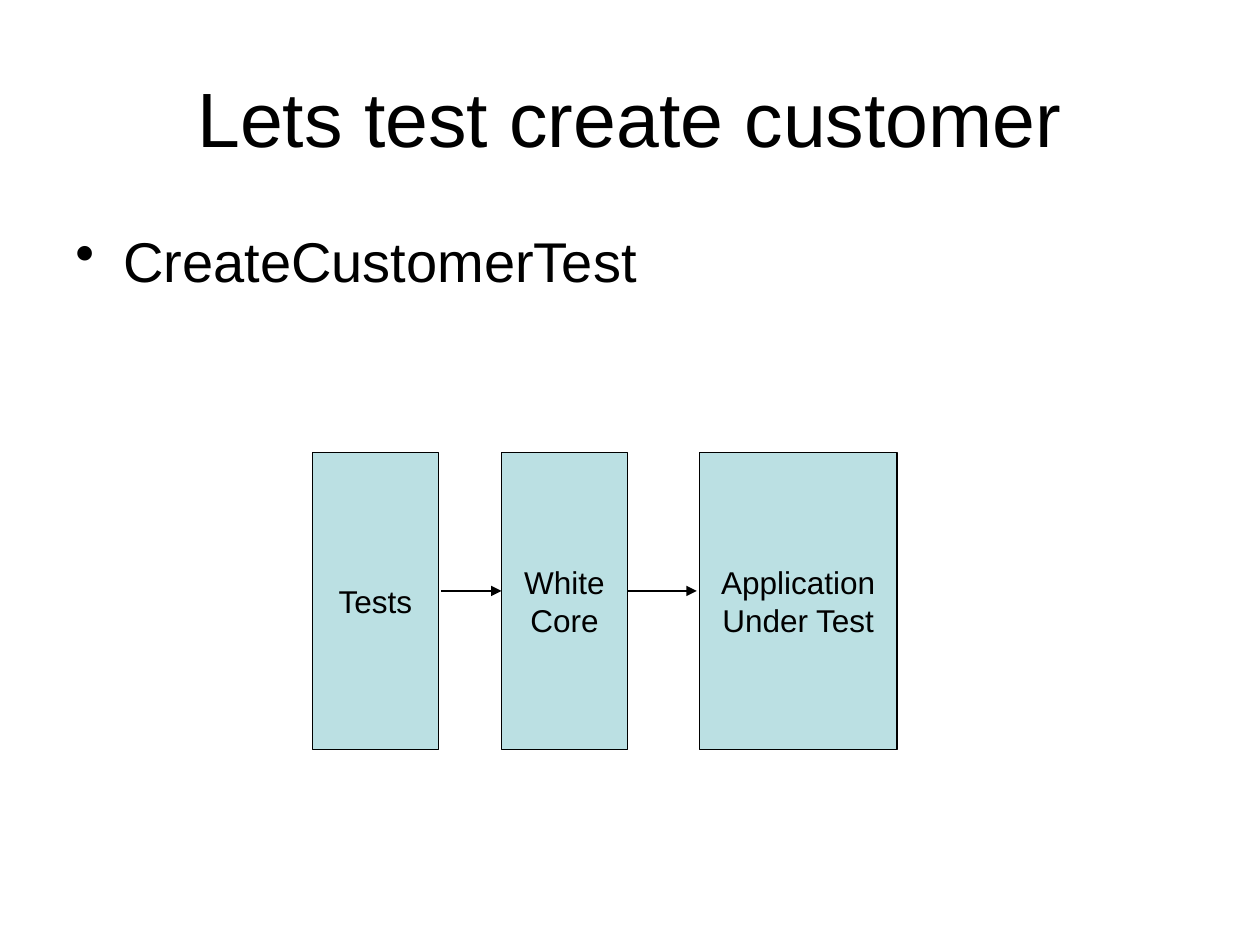
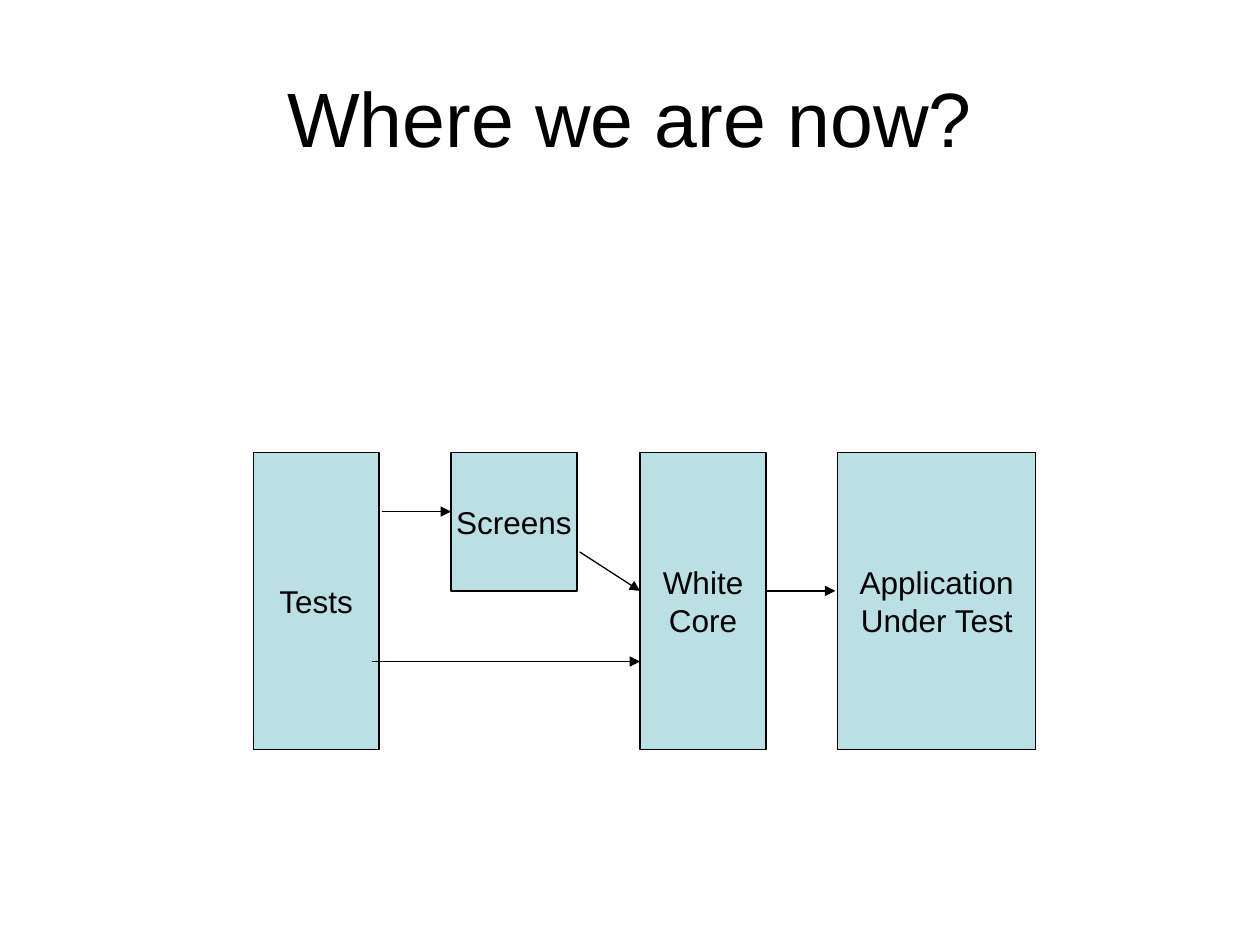
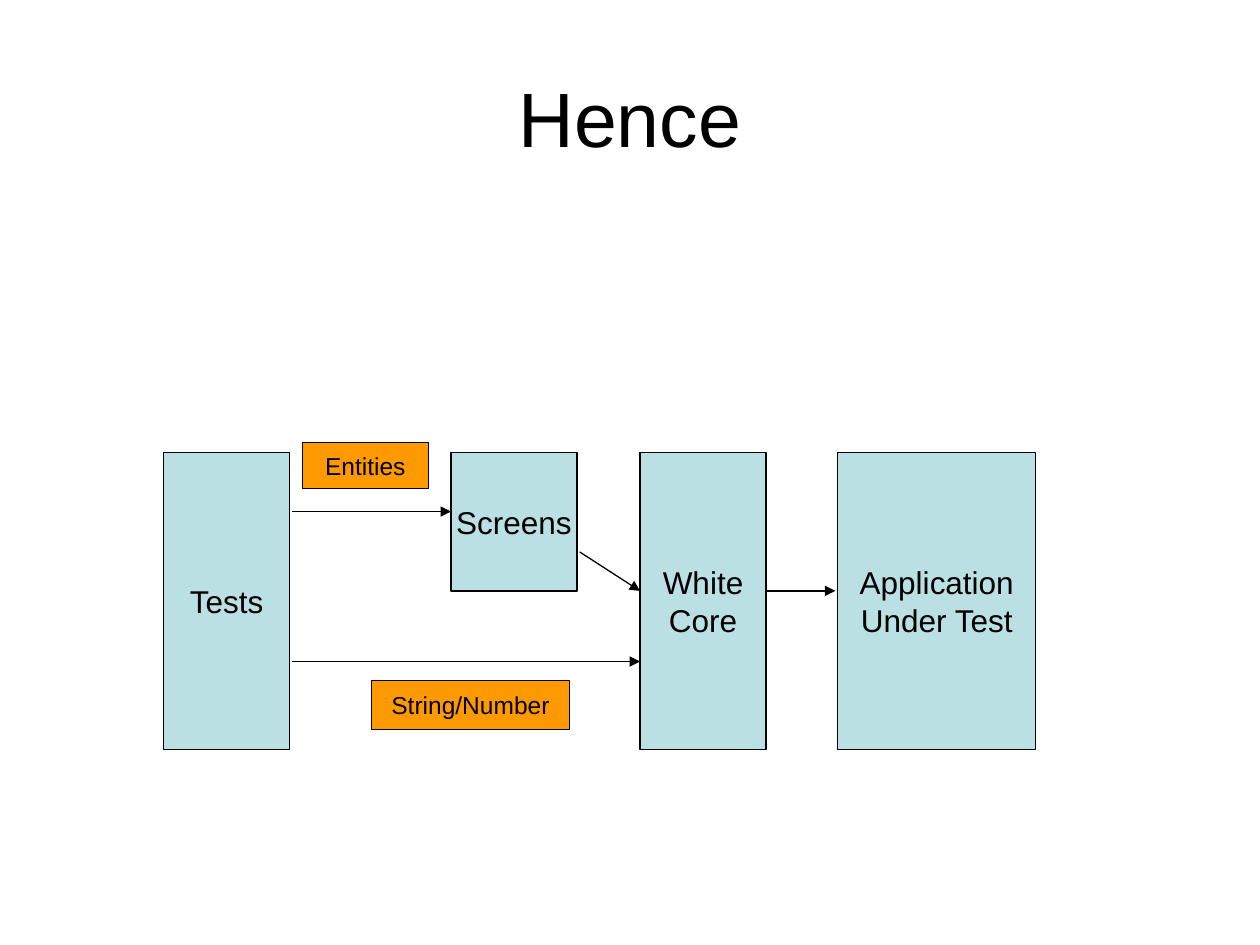
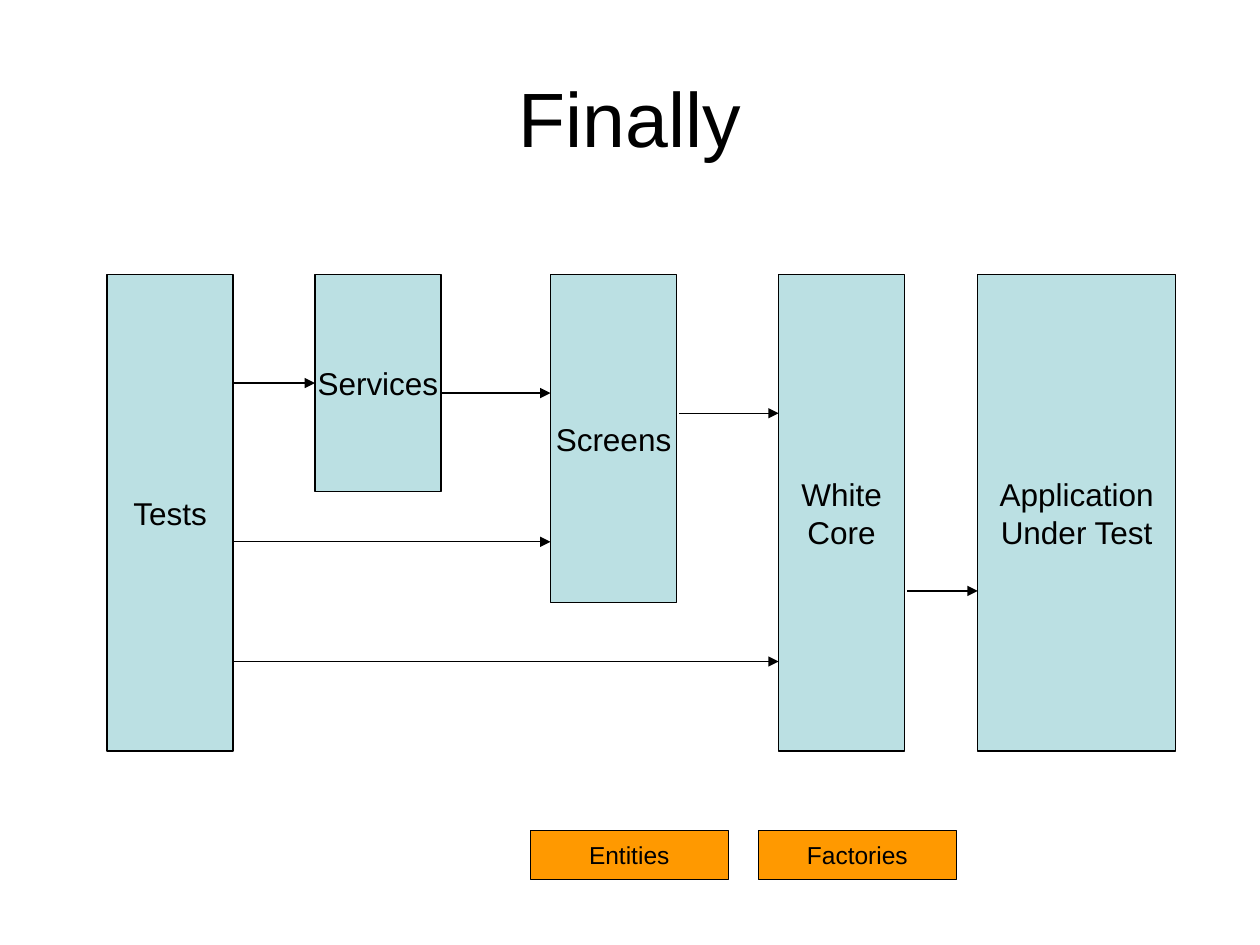
import pptx
import pptx.dml.color
import pptx.enum.shapes
import pptx.enum.text
import pptx.oxml.ns
import pptx.util
from lxml import etree

Inches = pptx.util.Inches
Pt = pptx.util.Pt
RGBColor = pptx.dml.color.RGBColor
PP_ALIGN = pptx.enum.text.PP_ALIGN
MSO_ANCHOR = pptx.enum.text.MSO_ANCHOR
qn = pptx.oxml.ns.qn

BLACK = RGBColor(0x00, 0x00, 0x00)
LAYER_BLUE = RGBColor(0xBB, 0xE0, 0xE3)
DATA_ORANGE = RGBColor(0xFF, 0x99, 0x00)

FONT = "Arial"
LINE_WIDTH = Pt(0.75)
LAYER_TOP, LAYER_HEIGHT = 3.59, 2.36
LAYER_WIDTH, WIDE_WIDTH = 1, 1.57
LABEL_HEIGHT = 0.39
CALL_Y = 4.69
DIRECT_Y = 5.25


class Deck:
    """Holds the shared style and the slide being drawn."""

    def __init__(self):
        self.prs = pptx.Presentation()
        self.prs.slide_width = Inches(10)
        self.prs.slide_height = Inches(7.5)
        self.s = None

    def start_slide(self, title):
        self.s = self.prs.slides.add_slide(self.prs.slide_layouts[6])
        tf = self.text_box(0.5, 0.3, 9, 1.25)
        tf.vertical_anchor = MSO_ANCHOR.MIDDLE
        tf.paragraphs[0].alignment = PP_ALIGN.CENTER
        self.run(tf.paragraphs[0], title, 44)

    def text_box(self, left, top, width, height):
        sp = self.s.shapes.add_textbox(
            Inches(left), Inches(top), Inches(width), Inches(height))
        sp.text_frame.word_wrap = True
        return sp.text_frame

    def run(self, p, text, size):
        r = p.add_run()
        r.text = text
        r.font.name = FONT
        r.font.size = Pt(size)
        r.font.color.rgb = BLACK

    def bullet(self, text):
        p = self.text_box(0.5, 1.75, 9, 4.95).paragraphs[0]
        p.space_before = Pt(8)
        p_pr = p._p.get_or_add_pPr()
        p_pr.set("marL", str(Inches(0.38)))
        p_pr.set("indent", str(Inches(-0.38)))
        etree.SubElement(p_pr, qn("a:buChar")).set("char", "•")
        self.run(p, text, 32)

    def box(self, lines, left, top, width, height, fill, size):
        sp = self.s.shapes.add_shape(
            pptx.enum.shapes.MSO_SHAPE.RECTANGLE,
            Inches(left), Inches(top), Inches(width), Inches(height))
        sp.shadow.inherit = False
        sp.fill.solid()
        sp.fill.fore_color.rgb = fill
        sp.line.color.rgb = BLACK
        sp.line.width = LINE_WIDTH
        tf = sp.text_frame
        tf.word_wrap = False
        tf.vertical_anchor = MSO_ANCHOR.MIDDLE
        for i, text in enumerate(lines):
            p = tf.add_paragraph() if i else tf.paragraphs[0]
            p.alignment = PP_ALIGN.CENTER
            self.run(p, text, size)
        return sp

    def layer(self, *lines, left, top=LAYER_TOP, width=LAYER_WIDTH,
              height=LAYER_HEIGHT):
        return self.box(lines, left, top, width, height, LAYER_BLUE, 18)

    def core_and_application(self, core_left, application_left, **size):
        self.layer("Application", "Under Test", left=application_left,
                   width=WIDE_WIDTH, **size)
        self.layer("White", "Core", left=core_left, **size)

    def label(self, text, left, top, width=WIDE_WIDTH, height=LABEL_HEIGHT):
        self.box([text], left, top, width, height, DATA_ORANGE, 14)

    def arrow(self, x1, y1, x2, y2=None):
        """Draw an arrow, level unless y2 is given."""
        cxn = self.s.shapes.add_connector(
            pptx.enum.shapes.MSO_CONNECTOR.STRAIGHT, Inches(x1), Inches(y1),
            Inches(x2), Inches(y1 if y2 is None else y2))
        cxn.line.color.rgb = BLACK
        cxn.line.width = LINE_WIDTH
        ln = cxn.line._get_or_add_ln()
        etree.SubElement(ln, qn("a:tailEnd")).set("type", "triangle")
        etree.SubElement(cxn._element.spPr, qn("a:effectLst"))
        return cxn

    def screens_design(self, tests_left, screens_call_x, core_call_x):
        """Tests reach the core through the screens or directly."""
        self.core_and_application(5.08, 6.65)
        self.layer("Screens", left=3.58, height=1.1)
        self.arrow(4.6, 4.38, 5.08, CALL_Y)
        self.arrow(6.08, CALL_Y, 6.63)
        self.layer("Tests", left=tests_left)
        self.arrow(screens_call_x, 4.06, 3.58)
        self.arrow(core_call_x, DIRECT_Y, 5.08)


def add_create_customer(deck):
    deck.start_slide("Lets test create customer")
    deck.bullet("CreateCustomerTest")
    deck.core_and_application(3.98, 5.55)
    deck.layer("Tests", left=2.48)
    deck.arrow(3.5, CALL_Y, 3.98)
    deck.arrow(4.98, CALL_Y, 5.53)


def add_where_we_are(deck):
    deck.start_slide("Where we are now?")
    deck.screens_design(2.01, 3.03, 2.95)


def add_hence(deck):
    deck.start_slide("Hence")
    deck.screens_design(1.3, 2.32, 2.32)
    deck.label("Entities", 2.4, 3.51, width=1, height=0.37)
    deck.label("String/Number", 2.95, 5.4)


def add_finally(deck):
    deck.start_slide("Finally")
    top, height = 2.18, 3.78
    deck.core_and_application(6.18, 7.76, top=top, height=height)
    deck.layer("Screens", left=4.37, top=top, height=2.6)
    deck.layer("Tests", left=0.85, top=top, height=height)
    services = deck.layer("Services", left=2.5, top=top, height=1.72)
    deck.arrow(1.85, 3.04, 2.5).end_connect(services, 1)
    for x1, y, x2 in [(7.2, CALL_Y, 7.76), (1.85, 4.3, 4.37),
                      (1.85, DIRECT_Y, 6.18), (3.5, 3.12, 4.37),
                      (5.39, 3.28, 6.18)]:
        deck.arrow(x1, y, x2)
    for text, left in [("Entities", 4.21), ("Factories", 6.02)]:
        deck.label(text, left, 6.59)


def main():
    deck = Deck()
    add_create_customer(deck)
    add_where_we_are(deck)
    add_hence(deck)
    add_finally(deck)
    deck.prs.save("out.pptx")


if __name__ == "__main__":
    main()
